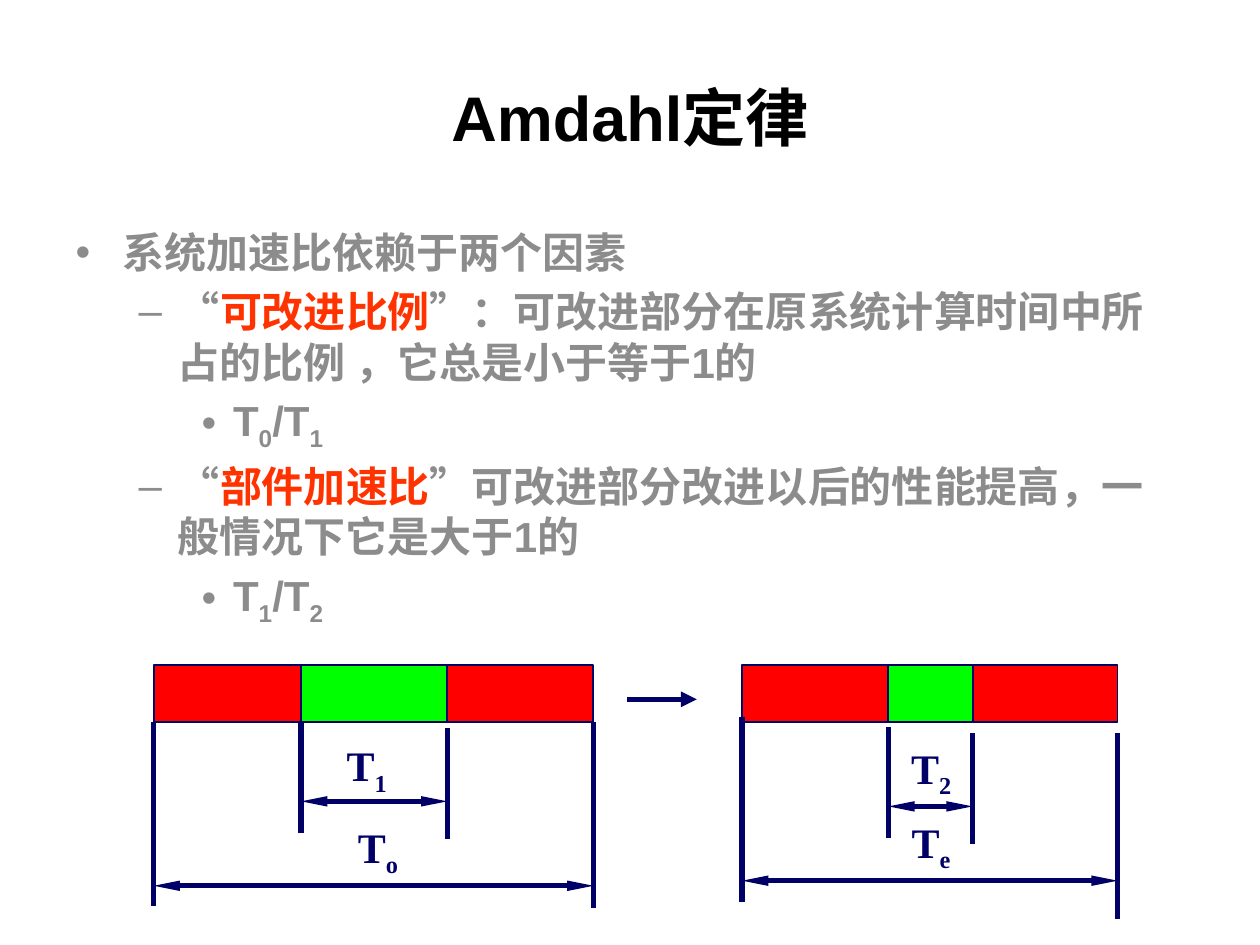
from lxml import etree
from pptx import Presentation
from pptx.dml.color import RGBColor
from pptx.enum.shapes import MSO_CONNECTOR, MSO_SHAPE
from pptx.enum.text import MSO_ANCHOR, MSO_AUTO_SIZE, PP_ALIGN
from pptx.oxml.ns import qn
from pptx.util import Inches, Pt

RECTANGLE = MSO_SHAPE.RECTANGLE
STRAIGHT = MSO_CONNECTOR.STRAIGHT
CENTER = PP_ALIGN.CENTER
MIDDLE = MSO_ANCHOR.MIDDLE
NO_AUTOFIT = MSO_AUTO_SIZE.NONE

NAVY, RED, GREEN = "000066", "FF0000", "00FF00"
GRAY, ORANGE, BLACK = "8C8C8C", "FF3300", "000000"
SUBSCRIPT = "-25000"
BAR_TOP, BAR_HEIGHT = 5.28, 0.45

TITLE_FORMAT = {"name": "Arial", "size": Pt(36), "bold": True}
BODY_FORMAT = {"name": "Arial", "size": Pt(24), "bold": True}
LABEL_FORMAT = {"name": "Times New Roman", "size": Pt(24), "bold": True}

# Level and runs of each paragraph: (text, colour, is subscript)
BODY = [
    (0, [("系统加速比依赖于两个因素", GRAY, False)]),
    (1, [("“", GRAY, False), ("可改进比例", ORANGE, False),
         ("”：可改进部分在原系统计算时间中所占的比例 ，它总是小于等于1的", GRAY, False)]),
    (2, [("T", GRAY, False), ("0", GRAY, True), ("/T", GRAY, False), ("1", GRAY, True)]),
    (1, [("“", GRAY, False), ("部件加速比", ORANGE, False),
         ("”可改进部分改进以后的性能提高，一般情况下它是大于1的", GRAY, False)]),
    (2, [("T", GRAY, False), ("1", GRAY, True), ("/T", GRAY, False), ("2", GRAY, True)]),
]

# Segment edges of the time bars before and after the improvement
BAR_EDGES = [(1.22, 2.39, 3.55, 4.71), (5.89, 7.05, 7.72, 8.87)]
SEGMENT_COLORS = (RED, GREEN, RED)
# Extension lines: x, top, bottom
EXTENSIONS = [
    (1.22, 5.73, 7.19), (2.39, 5.73, 6.61), (3.55, 5.78, 6.66), (4.71, 5.73, 7.21),
    (5.89, 5.69, 7.16), (7.05, 5.77, 6.65), (7.72, 5.82, 6.7), (8.87, 5.82, 7.29),
]
# Dimension arrows: left, right, y
DIMENSIONS = [(2.39, 3.55, 6.36), (1.22, 4.71, 7.03), (7.05, 7.72, 6.4), (5.89, 8.87, 6.99)]
# Dimension labels, clear of the arrows below them: left, top, subscript
LABELS = [(2.46, 5.82, "1"), (2.55, 6.47, "o"), (6.94, 5.84, "2"), (6.94, 6.43, "e")]


def color(hex_value):
    return RGBColor.from_string(hex_value)


def add_run(paragraph, text, hex_value, formats, subscript=False):
    run = paragraph.add_run()
    run.text = text
    for name, value in formats.items():
        setattr(run.font, name, value)
    run.font.color.rgb = color(hex_value)
    if subscript:
        run.font._element.set("baseline", SUBSCRIPT)


def place(shape, left, top, width, height):
    bounds = {"left": left, "top": top, "width": width, "height": height}
    for name, value in bounds.items():
        setattr(shape, name, Inches(value))


def fill_title(title):
    place(title, 0.5, 0.3, 9, 1.25)
    title.text_frame.vertical_anchor = MIDDLE
    paragraph = title.text_frame.paragraphs[0]
    paragraph.alignment = CENTER
    add_run(paragraph, "Amdahl定律", BLACK, TITLE_FORMAT)


def fill_body(body):
    place(body, 0.5, 1.75, 9, 3.5)
    frame = body.text_frame
    frame.auto_size = NO_AUTOFIT
    for index, (level, runs) in enumerate(BODY):
        paragraph = frame.add_paragraph() if index else frame.paragraphs[0]
        paragraph.level = level
        for text, hex_value, subscript in runs:
            add_run(paragraph, text, hex_value, BODY_FORMAT, subscript)


def add_segment(slide, left, right, hex_value):
    segment = slide.shapes.add_shape(
        RECTANGLE, Inches(left), Inches(BAR_TOP), Inches(right - left), Inches(BAR_HEIGHT))
    segment.shadow.inherit = False
    segment.fill.solid()
    segment.fill.fore_color.rgb = color(hex_value)
    segment.line.color.rgb = color(NAVY)
    segment.line.width = Pt(1)


def add_line(slide, start, end, heads=(), head_width="med", head_length="med"):
    """heads holds headEnd and tailEnd, in that order, where wanted."""
    points = [Inches(value) for value in (*start, *end)]
    connector = slide.shapes.add_connector(STRAIGHT, *points)
    connector.line.color.rgb = color(NAVY)
    connector.line.width = Pt(3)
    properties = connector._element.spPr
    for head in heads:
        etree.SubElement(properties.find(qn("a:ln")), qn("a:" + head),
                         type="triangle", w=head_width, len=head_length)
    etree.SubElement(properties, qn("a:effectLst"))


def add_label(slide, left, top, subscript):
    box = slide.shapes.add_textbox(Inches(left), Inches(top), Inches(0.9), Inches(0.5))
    box.text_frame.word_wrap = True
    paragraph = box.text_frame.paragraphs[0]
    paragraph.alignment = CENTER
    add_run(paragraph, "T", NAVY, LABEL_FORMAT)
    add_run(paragraph, subscript, NAVY, LABEL_FORMAT, subscript=True)


def main():
    presentation = Presentation()
    presentation.slide_width = Inches(10)
    presentation.slide_height = Inches(7.5)
    slide = presentation.slides.add_slide(presentation.slide_layouts[1])

    # Title and list
    fill_title(slide.shapes.title)
    fill_body(slide.placeholders[1])

    # Bars and the arrow between them
    for edges in BAR_EDGES:
        for left, right, hex_value in zip(edges, edges[1:], SEGMENT_COLORS):
            add_segment(slide, left, right, hex_value)
    add_line(slide, (4.98, 5.55), (5.53, 5.55), ["tailEnd"])

    # Dimensions under the bars
    for x, top, bottom in EXTENSIONS:
        add_line(slide, (x, top), (x, bottom))
    for left, right, y in DIMENSIONS:
        add_line(slide, (left, y), (right, y), ["headEnd", "tailEnd"], "sm", "lg")
    for label in LABELS:
        add_label(slide, *label)

    presentation.save("out.pptx")


if __name__ == "__main__":
    main()
